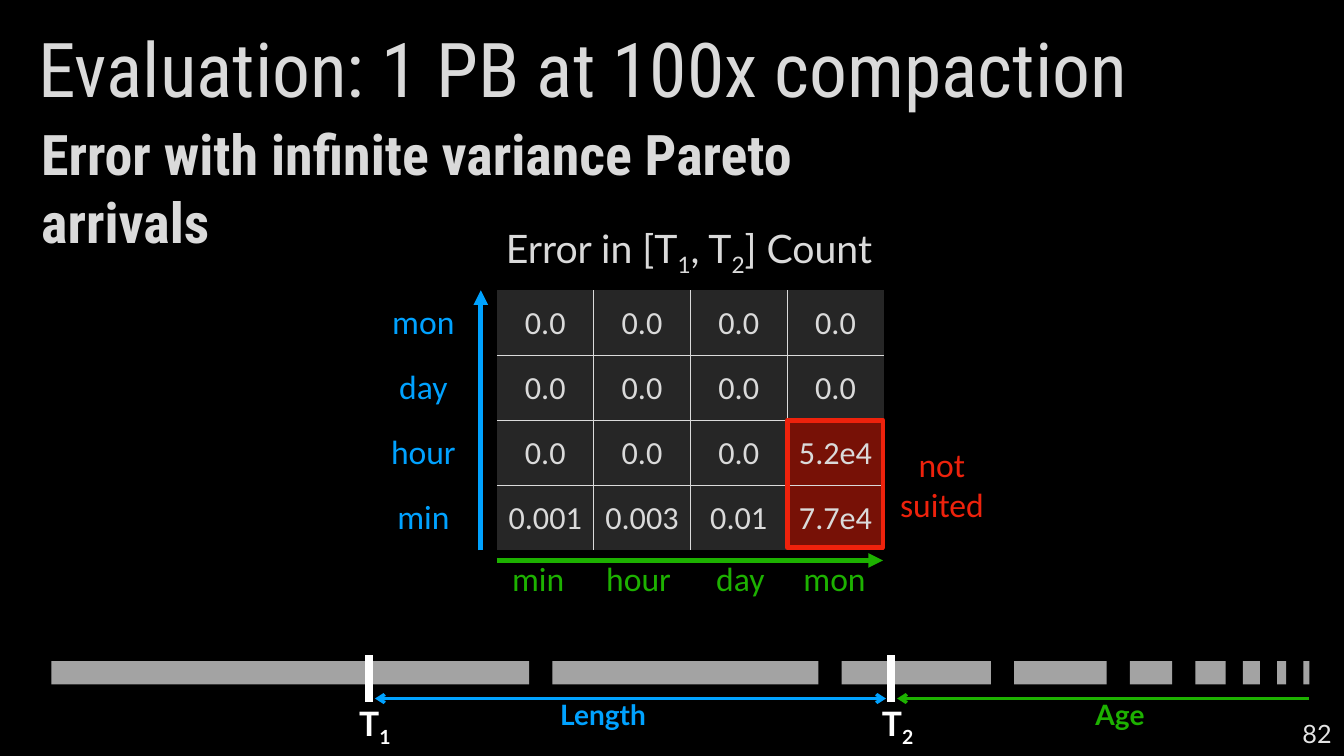
from lxml.etree import SubElement
from pptx import Presentation
from pptx.dml.color import RGBColor
from pptx.enum.shapes import MSO_CONNECTOR as Connector, MSO_SHAPE as Shape
from pptx.enum.text import MSO_ANCHOR as Anchor, MSO_AUTO_SIZE as AutoSize, PP_ALIGN as Align
from pptx.oxml.ns import qn
from pptx.util import Pt

PX = 9144
THEME = {
    "background": "000000", "text": "DADADA", "number": "E4E4E4", "white": "FFFFFF",
    "length": "00A2FF", "age": "1DB100", "alert": "EE220C",
    "cell": "262626", "alert_cell": "771106", "block": "A3A3A3",
    "title_size": 54, "subtitle_size": 40, "heading_size": 28, "label_size": 24,
    "value_size": 23, "axis_size": 20, "number_size": 18,
    "title_font": "Roboto Condensed", "body_font": "Lato", "table_font": "Calibri",
    "no_style": "{2D5ABB26-0587-4C30-8999-92F81FD0307C}",
}
color = {name: RGBColor.from_string(value) for name, value in THEME.items()
         if len(value if isinstance(value, str) else "") == 6}


def write(frame, text, font, size, ink, align=Align.LEFT, bold=False):
    paragraph = frame.paragraphs[0]
    paragraph.alignment = align
    for index, piece in enumerate(text.split("|")):
        run = paragraph.add_run()
        run.text = piece
        formats = {"name": THEME[font], "size": Pt(THEME[size]), "bold": bold}
        for key, value in formats.items():
            setattr(run.font, key, value)
        run.font.color.rgb = color[ink]
        if index % 2:
            run.font._element.set("baseline", "-25000")
    return paragraph


def draw_line(start, end, ink, width, **arrowheads):
    ends = [value * PX for value in (*start, *end)]
    connector = slide.shapes.add_connector(Connector.STRAIGHT, *ends)
    connector.line.color.rgb = color[ink]
    connector.line.width = Pt(width)
    for tag, kind in arrowheads.items():
        SubElement(connector.line._get_or_add_ln(), qn(f"a:{tag}"), type=kind)
    SubElement(connector.element.spPr, qn("a:effectLst"))


presentation = Presentation()
presentation.slide_width, presentation.slide_height = 12192000, 6858000
slide = presentation.slides.add_slide(presentation.slide_layouts[5])
slide.background.fill.solid()
slide.background.fill.fore_color.rgb = color["background"]

title = slide.shapes.title
for key, value in {"left": 28, "top": 0, "width": 1280, "height": 145}.items():
    setattr(title, key, value * PX)
title.text_frame.vertical_anchor = Anchor.MIDDLE
title.text_frame.auto_size = AutoSize.NONE
heading = write(title.text_frame, "Evaluation: 1 PB at 100x compaction",
                "title_font", "title_size", "text")
heading.line_spacing = 0.9

row_heights = [65, 64, 65, 64]
tables = [
    ((370, 288), [100], row_heights, "label_size", "length",
     [["mon"], ["day"], ["hour"], ["min"]]),
    ((493, 288), [96] * 4, row_heights, "value_size", "text",
     [["0.0"] * 4,
      ["0.0"] * 4,
      ["0.0", "0.0", "0.0", "5.2e4"],
      ["0.001", "0.003", "0.01", "7.7e4"]]),
    ((490, 551), [88, 111, 91, 96], [48], "label_size", "age",
     [["min", "hour", "day", "mon"]]),
]
for (left, top), widths, heights, size, ink, rows in tables:
    frame = slide.shapes.add_table(len(heights), len(widths), left * PX, top * PX,
                                   sum(widths) * PX, sum(heights) * PX)
    table = frame.table
    table.first_row = table.horz_banding = False
    next(frame.element.iter(qn("a:tableStyleId"))).text = THEME["no_style"]
    for column, width in zip(table.columns, widths):
        column.width = width * PX
    for row, height in zip(table.rows, heights):
        row.height = height * PX
    for row_index, values in enumerate(rows):
        for column_index, value in enumerate(values):
            cell = table.cell(row_index, column_index)
            margins = {"margin_left": 8, "margin_right": 8, "margin_top": 4, "margin_bottom": 4}
            for key, margin in margins.items():
                setattr(cell, key, margin * PX)
            cell.vertical_anchor = Anchor.MIDDLE
            write(cell.text_frame, value, "table_font", size, ink, Align.CENTER)
            if size != "value_size":
                continue
            properties = cell._tc.get_or_add_tcPr()
            inner_sides = {"lnL": column_index > 0, "lnR": column_index < 3,
                           "lnT": row_index > 0, "lnB": row_index < 3}
            for tag, inner in inner_sides.items():
                if inner:
                    border = SubElement(properties, qn(f"a:{tag}"), w=str(Pt(1)))
                    fill = SubElement(border, qn("a:solidFill"))
                    SubElement(fill, qn("a:srgbClr"), val=THEME["text"])
            cell.fill.solid()
            cell.fill.fore_color.rgb = color["alert_cell" if "e" in value else "cell"]

draw_line((477, 546), (477, 288), "length", 3.5, tailEnd="triangle")
draw_line((493, 556), (876, 556), "age", 3.5, tailEnd="triangle")

highlight = slide.shapes.add_shape(Shape.RECTANGLE, 781 * PX, 417 * PX, 95 * PX, 126 * PX)
highlight.shadow.inherit = False
highlight.fill.background()
highlight.line.color.rgb = color["alert"]
highlight.line.width = Pt(3.25)

block_left = 51
for width, gap in zip([474, 264, 148, 92, 42, 30, 17, 9, 6], [23] * 5 + [17] * 4):
    block = slide.shapes.add_shape(Shape.RECTANGLE, block_left * PX, 656 * PX,
                                   width * PX, 23 * PX)
    block.shadow.inherit = False
    block.fill.solid()
    block.fill.fore_color.rgb = color["block"]
    block.line.fill.background()
    block_left += width + gap

for tick in (366, 884):
    draw_line((tick, 650), (tick, 696), "white", 6)
draw_line((372, 693), (879, 693), "length", 2.25, headEnd="arrow", tailEnd="arrow")
draw_line((890, 693), (1299, 693), "age", 2.25, headEnd="arrow")

labels = [
    ("not suited", (878, 435, 113, 91), "table_font", "label_size", "alert", Align.CENTER, False, True),
    ("Error in [T|1|, T|2|] Count", (487, 218, 393, 57),
     "body_font", "heading_size", "text", Align.CENTER, False, False),
    ("T|1", (346, 692, 52, 50), "body_font", "label_size", "white", Align.CENTER, True, False),
    ("T|2", (863, 692, 55, 50), "body_font", "label_size", "white", Align.CENTER, True, False),
    ("Length", (546, 687, 116, 44), "body_font", "axis_size", "length", Align.LEFT, True, False),
    ("Age", (1077, 687, 74, 44), "body_font", "axis_size", "age", Align.LEFT, True, False),
    ("82", (1031, 708, 300, 40), "body_font", "number_size", "number", Align.RIGHT, False, True),
    ("Error with infinite variance Pareto arrivals", (31, 114, 815, 77),
     "title_font", "subtitle_size", "text", Align.LEFT, True, True),
]
for text, box, font, size, ink, align, bold, wrap in labels:
    label = slide.shapes.add_textbox(*[value * PX for value in box])
    label.text_frame.word_wrap = wrap
    label.text_frame.auto_size = AutoSize.SHAPE_TO_FIT_TEXT
    write(label.text_frame, text, font, size, ink, align, bold)

presentation.save("out.pptx")
